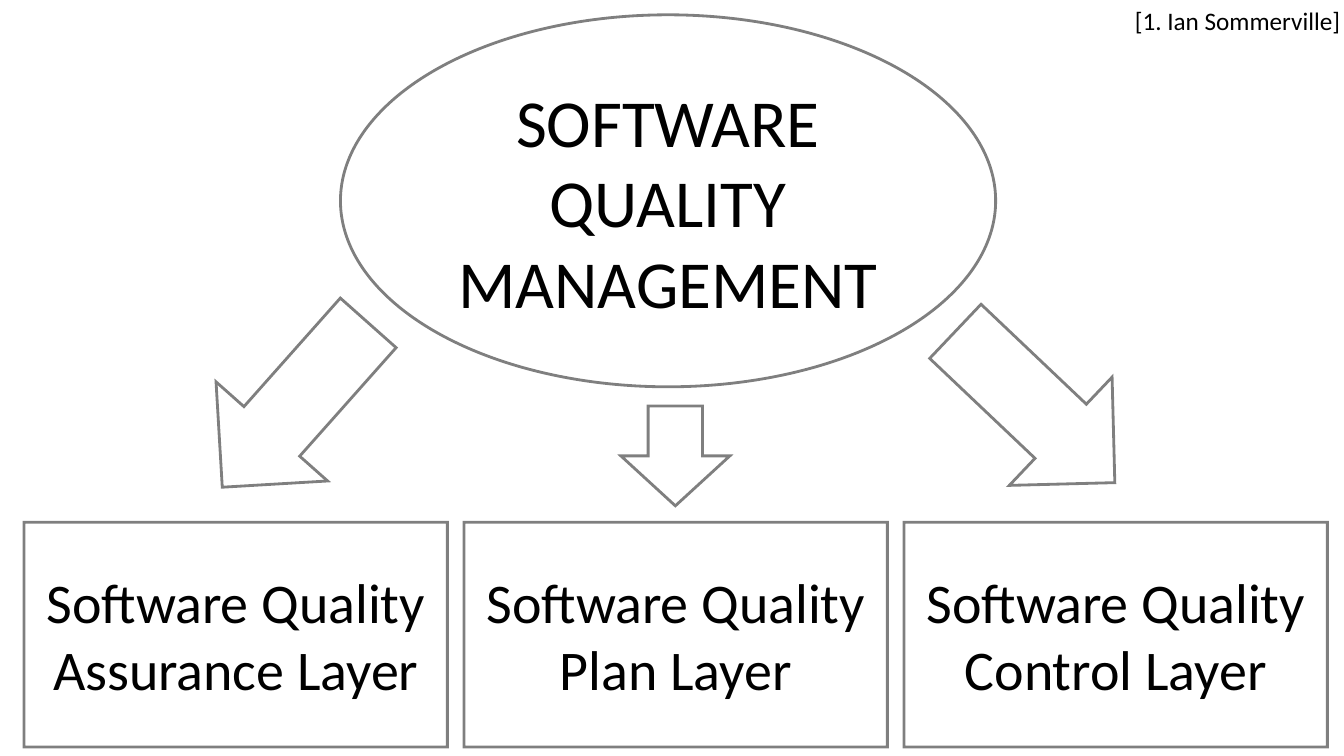
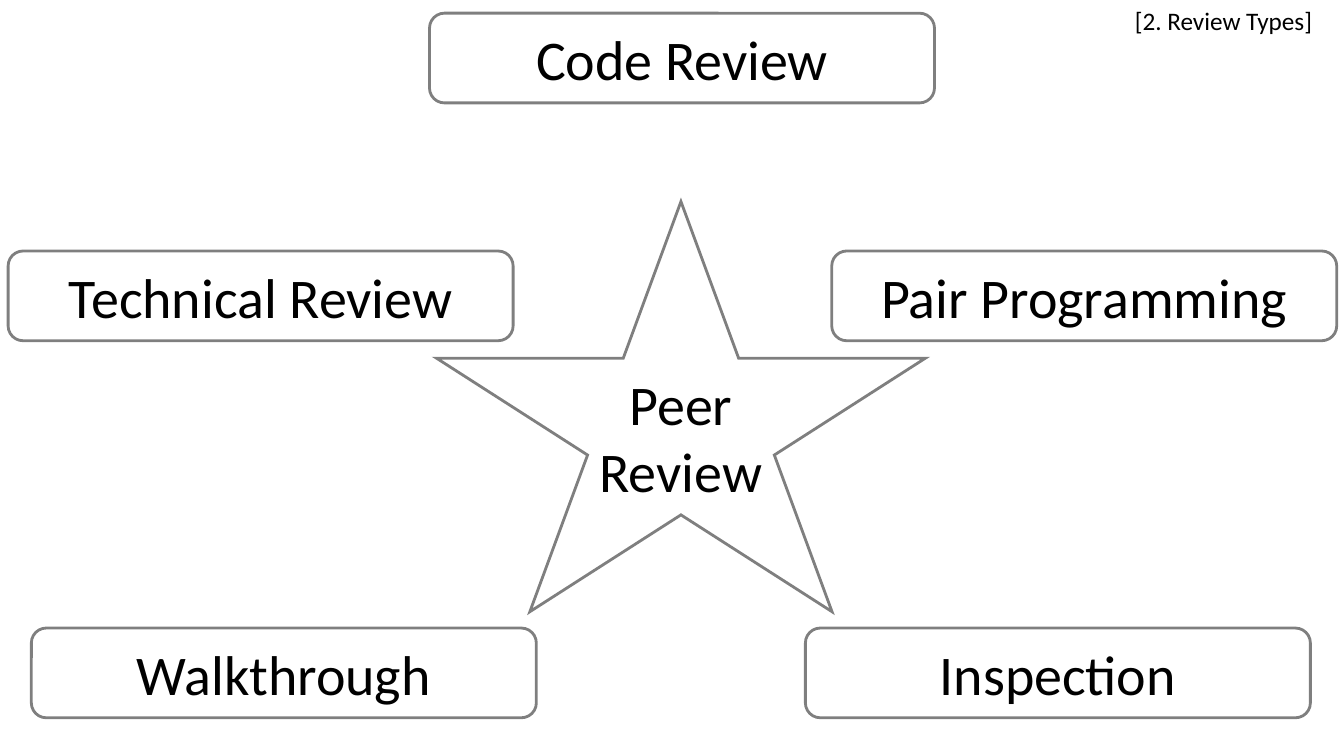
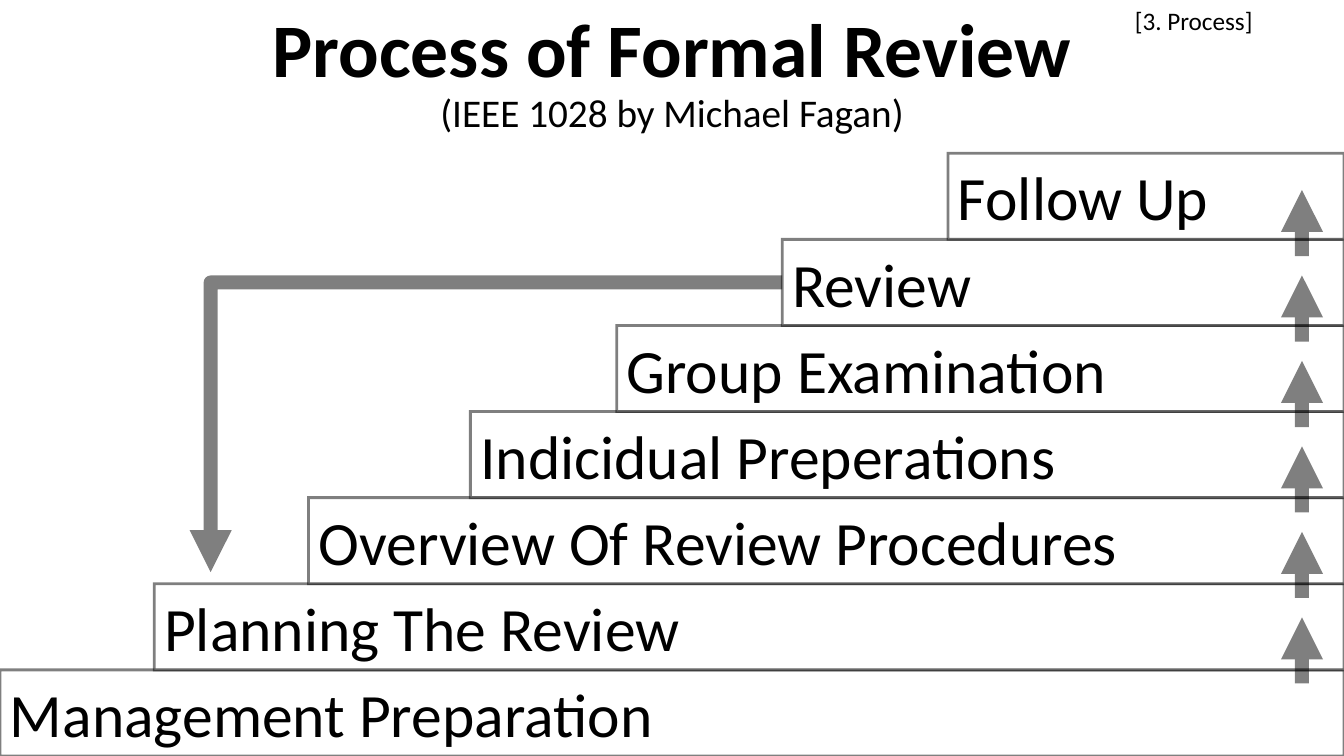
import pptx
import pptx.util
import pptx.dml.color
import pptx.enum.shapes
import pptx.enum.text
import pptx.oxml
import pptx.oxml.ns

Pt = pptx.util.Pt
RGBColor = pptx.dml.color.RGBColor
SHAPE = pptx.enum.shapes.MSO_SHAPE
CONNECTOR = pptx.enum.shapes.MSO_CONNECTOR
ALIGN = pptx.enum.text.PP_ALIGN
ANCHOR = pptx.enum.text.MSO_ANCHOR
AUTO_SIZE = pptx.enum.text.MSO_AUTO_SIZE
qn = pptx.oxml.ns.qn

INK = RGBColor(0, 0, 0)
PAPER = RGBColor(255, 255, 255)
FONT = "Calibri"
SLIDE_W, SLIDE_H = 960, 540
TITLE_ONLY, BLANK = 5, 6


def add_xml(parent, tag, **attrs):
    """Append an empty drawing element with the given attributes."""
    el = pptx.oxml.parse_xml(f"<a:{tag} {pptx.oxml.ns.nsdecls('a')}/>")
    for name, value in attrs.items():
        el.set(name, str(value))
    parent.append(el)
    return el


def set_opacity(el, percent):
    """Make the solid colour directly inside an element partly transparent."""
    add_xml(el.find(qn("a:solidFill")).find(qn("a:srgbClr")), "alpha", val=percent * 1000)


def style_line(shape, width):
    """Draw a half-transparent line and return its XML element."""
    shape.line.color.rgb = INK
    shape.line.width = Pt(width)
    ln = shape._element.spPr.find(qn("a:ln"))
    set_opacity(ln, 50)
    return ln


def write(tf, text, size=40, bold=False, align=ALIGN.LEFT, spacing=None, new=False):
    """Write one formatted paragraph, in a new paragraph if asked."""
    p = tf.add_paragraph() if new else tf.paragraphs[0]
    p.alignment = align
    p.line_spacing = spacing
    r = p.add_run()
    r.text = text
    r.font.name = FONT
    r.font.size = Pt(size)
    r.font.bold = bold
    r.font.color.rgb = INK


def add_box(s, kind, x, y, w, h, text="", rotation=0, size=40, align=ALIGN.CENTER):
    """Add an outlined shape with optional text."""
    sp = s.shapes.add_shape(kind, Pt(x), Pt(y), Pt(w), Pt(h))
    sp.shadow.inherit = False
    sp.rotation = rotation
    sp.fill.solid()
    sp.fill.fore_color.rgb = PAPER
    set_opacity(sp._element.spPr, 65)
    add_xml(style_line(sp, 2), "miter", lim=800000)
    if text:
        sp.text_frame.word_wrap = True
        sp.text_frame.vertical_anchor = ANCHOR.MIDDLE
        write(sp.text_frame, text, size=size, align=align)
    return sp


def add_arrow(s, kind, x1, y1, x2, y2):
    """Add a thick connector with an arrowhead at its end."""
    cx = s.shapes.add_connector(kind, Pt(x1), Pt(y1), Pt(x2), Pt(y2))
    add_xml(style_line(cx, 10), "tailEnd", type="triangle")
    add_xml(cx._element.spPr, "effectLst")
    return cx


def add_tag(s, text, x, y, w, h):
    """Add the source tag in the top right corner."""
    tf = s.shapes.add_textbox(Pt(x), Pt(y), Pt(w), Pt(h)).text_frame
    tf.word_wrap = True
    tf.auto_size = AUTO_SIZE.SHAPE_TO_FIT_TEXT
    write(tf, text, size=18)


def add_slide(prs, layout, tag):
    """Add a slide with its source tag."""
    s = prs.slides.add_slide(prs.slide_layouts[layout])
    add_tag(s, tag, 803.5, 0, 164.2, 29)
    return s


def add_layers(s, x, y, w, h):
    """Place the management ellipse, three arrows and a row of layers."""
    add_box(s, SHAPE.OVAL, x + 226, y, 468, 265.7, "SOFTWARE QUALITY MANAGEMENT", size=48)
    gap, row_h = 11.9, 160.6
    layer_w = (w - 2 * gap) / 3
    for i, layer in enumerate(("Assurance", "Plan", "Control")):
        add_box(s, SHAPE.RECTANGLE, x + i * (layer_w + gap), y + h - row_h, layer_w, row_h,
                f"Software Quality {layer} Layer")
    arrows = ((140.4, 200.2, 106.6, 157, 41.6),
              (668.9, 201.6, 106.6, 157, 313.5),
              (426.3, 279.4, 77.8, 71.3, 0))
    for dx, dy, arrow_w, arrow_h, rotation in arrows:
        add_box(s, SHAPE.DOWN_ARROW, x + dx, y + dy, arrow_w, arrow_h, rotation=rotation)


def add_review_types(s, x, y, w, h):
    """Place the star and one review type near each of its points."""
    add_box(s, SHAPE.STAR_5_POINT, x + 306, y + 134.6, 349.2, 293, "Peer Review")
    type_w, type_h = 360.7, 64.1
    types = (("Code Review", 301, 0),
             ("Technical Review", 0, 169.9),
             ("Pair Programming", w - type_w, 169.9),
             ("Walkthrough", 16.6, h - type_h),
             ("Inspection", 569.5, h - type_h))
    for text, dx, dy in types:
        add_box(s, SHAPE.FLOWCHART_ALTERNATE_PROCESS, x + dx, y + dy, type_w, type_h, text)


def add_title(s, title, subtitle, x, y, w, h):
    """Place the title with a smaller line below it."""
    sp = s.shapes.title
    sp.left, sp.top, sp.width, sp.height = Pt(x), Pt(y), Pt(w), Pt(h)
    tf = sp.text_frame
    tf.word_wrap = True
    tf.auto_size = AUTO_SIZE.NONE
    tf.vertical_anchor = ANCHOR.MIDDLE
    write(tf, title, size=54, bold=True, align=ALIGN.CENTER, spacing=0.9)
    write(tf, subtitle, size=28, align=ALIGN.CENTER, spacing=0.9, new=True)


def add_staircase(s, x, y, w, h):
    """Place the process steps from the bottom up, with arrows between them."""
    steps = (("Management Preparation", 0),
             ("Planning The Review", 110.2),
             ("Overview Of Review Procedures", 220.3),
             ("Indicidual Preperations", 336),
             ("Group Examination", 440.6),
             ("Review", 558.7),
             ("Follow Up", 677.2))
    step_h = h / len(steps)
    for i, (text, dx) in enumerate(steps):
        add_box(s, SHAPE.RECTANGLE, x + dx, y + h - (i + 1) * step_h, w - dx, step_h,
                text, size=44, align=ALIGN.LEFT)
    loop = add_arrow(s, CONNECTOR.ELBOW, x + steps[5][1], y + 1.5 * step_h,
                     x + 150.5, y + h - 131.3)
    guides = loop._element.spPr.find(qn("a:prstGeom")).get_or_add_avLst()
    add_xml(guides, "gd", name="adj1", fmla="val 100000")
    for i in range(len(steps) - 1):
        tail = y + h - 51.8 - i * 61.06
        add_arrow(s, CONNECTOR.STRAIGHT, x + w - 30, tail, x + w - 30, tail - 47.2)


def main():
    """Build the three slides and save them."""
    prs = pptx.Presentation()
    prs.slide_width, prs.slide_height = Pt(SLIDE_W), Pt(SLIDE_H)

    s = add_slide(prs, BLANK, "[1. Ian Sommerville]")
    add_layers(s, 17.2, 10.6, 931, 523)

    s = add_slide(prs, BLANK, "[2. Review Types]")
    add_review_types(s, 5.8, 9.4, 949, 503.3)

    s = add_slide(prs, TITLE_ONLY, "[3. Process]")
    add_title(s, "Process of Formal Review", "(IEEE 1028 by Michael Fagan)", 120, 3, 720, 100)
    add_staircase(s, 0, 109.5, SLIDE_W, 430.5)

    prs.save("out.pptx")


if __name__ == "__main__":
    main()
